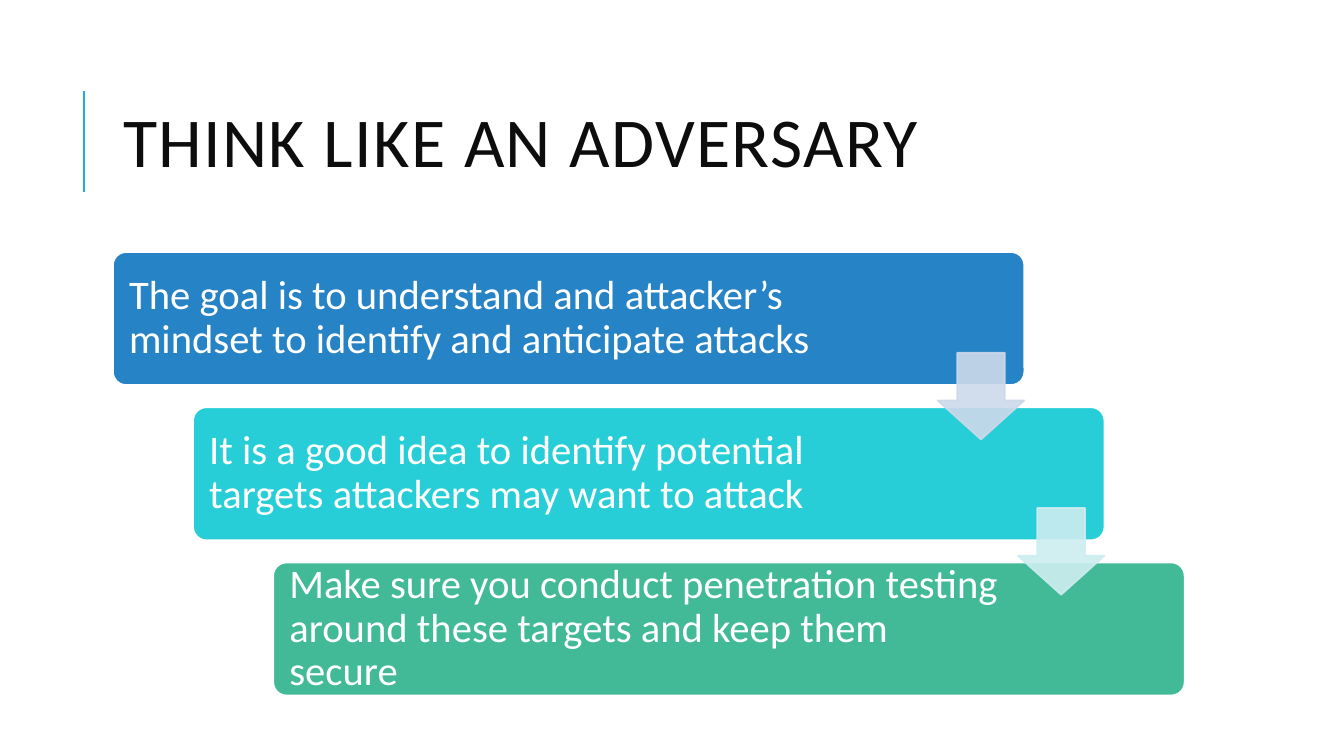
from pptx import Presentation
from pptx.dml.color import RGBColor
from pptx.enum.shapes import MSO_CONNECTOR, MSO_SHAPE
from pptx.enum.text import MSO_ANCHOR, MSO_AUTO_SIZE, PP_ALIGN
from pptx.oxml.ns import qn
from pptx.util import Inches, Pt
from lxml.etree import SubElement

COLORS = {
    "accent": "1CADE4",
    "title": "0D0D0D",
    "white": "FFFFFF",
    "blue": "2683C6",
    "cyan": "27CED7",
    "green": "42BA97",
    "pale_blue": "CDD9EA",
    "pale_cyan": "CDEDF0",
}
STEPS = [
    ("The goal is to understand and attacker’s mindset to identify and anticipate attacks", "blue", 7.61),
    ("It is a good idea to identify potential targets attackers may want to attack", "cyan", 7.3),
    ("Make sure you conduct penetration testing around these targets and keep them secure", "green", 7.3),
]
ARROW_COLORS = ["pale_blue", "pale_cyan"]
STEP_LEFT, STEP_TOP = 1.12, 2.5
STEP_WIDTH, STEP_HEIGHT = 9.04, 1.32
SHIFT_X, SHIFT_Y = 0.795, 1.54
TEXT_INSET = 0.04
ARROW_SIZE = 0.86


def color(name):
    return RGBColor.from_string(COLORS[name])


def write_text(frame, text, size, color_name, line_spacing, margin, letter_spacing=0):
    """Fill a text frame with one left-aligned, vertically centred paragraph."""
    frame.word_wrap = True
    frame.auto_size = MSO_AUTO_SIZE.NONE
    frame.vertical_anchor = MSO_ANCHOR.MIDDLE
    frame.margin_left = frame.margin_right = Inches(margin)
    frame.margin_top = frame.margin_bottom = Inches(margin)
    para = frame.paragraphs[0]
    para.alignment = PP_ALIGN.LEFT
    para.line_spacing = line_spacing
    span = para.add_run()
    span.text = text
    span.font.name = "Calibri"
    span.font.size = Pt(size)
    span.font.color.rgb = color(color_name)
    if letter_spacing:
        span.font._element.set("spc", str(letter_spacing * 100))


class SlideBuilder:
    def __init__(self, page):
        self.page = page
        self.line_width = Pt(1.25)

    def title(self, text, left, top, width, height):
        box = self.page.shapes.title
        box.left, box.top = Inches(left), Inches(top)
        box.width, box.height = Inches(width), Inches(height)
        write_text(box.text_frame, text, 50, "title", 0.8, 0.1, letter_spacing=1)

    def rule(self, x, start, end):
        line = self.page.shapes.add_connector(
            MSO_CONNECTOR.STRAIGHT, Inches(x), Inches(start), Inches(x), Inches(end))
        line.line.color.rgb = color("accent")
        line.line.width = Pt(1.5)
        SubElement(line._element.spPr, qn("a:effectLst"))

    def shape(self, kind, left, top, width, height, fill, line, adjustments, opacity=100):
        shape = self.page.shapes.add_shape(
            kind, Inches(left), Inches(top), Inches(width), Inches(height))
        shape.shadow.inherit = False
        shape.fill.solid()
        shape.fill.fore_color.rgb = color(fill)
        shape.line.color.rgb = color(line)
        shape.line.width = self.line_width
        for index, value in enumerate(adjustments):
            shape.adjustments[index] = value
        if opacity < 100:
            for paint in shape._element.spPr.iter(qn("a:srgbClr")):
                SubElement(paint, qn("a:alpha")).set("val", str(opacity * 1000))

    def text(self, text, left, top, width, height):
        box = self.page.shapes.add_textbox(
            Inches(left), Inches(top), Inches(width), Inches(height))
        write_text(box.text_frame, text, 29, "white", 0.9, 0.12)


def main():
    deck = Presentation()
    deck.slide_width, deck.slide_height = Inches(13.33), Inches(7.5)
    builder = SlideBuilder(deck.slides.add_slide(deck.slide_layouts[5]))

    builder.rule(0.83, 0.9, 1.9)
    builder.title("THINK LIKE AN ADVERSARY", 1.12, 0.64, 10.63, 1.64)

    for index, (text, fill, text_width) in enumerate(STEPS):
        left, top = STEP_LEFT + index * SHIFT_X, STEP_TOP + index * SHIFT_Y
        builder.shape(MSO_SHAPE.ROUNDED_RECTANGLE, left, top, STEP_WIDTH, STEP_HEIGHT,
                      fill, "white", [0.1])
        builder.text(text, left + TEXT_INSET, top + TEXT_INSET,
                     text_width, STEP_HEIGHT - 2 * TEXT_INSET)

    for index, tint in enumerate(ARROW_COLORS):
        builder.shape(MSO_SHAPE.DOWN_ARROW,
                      STEP_LEFT + STEP_WIDTH - ARROW_SIZE + index * SHIFT_X,
                      STEP_TOP + 1 + index * SHIFT_Y,
                      ARROW_SIZE, ARROW_SIZE, tint, tint, [0.55, 0.45], opacity=90)

    deck.save("out.pptx")


if __name__ == "__main__":
    main()
